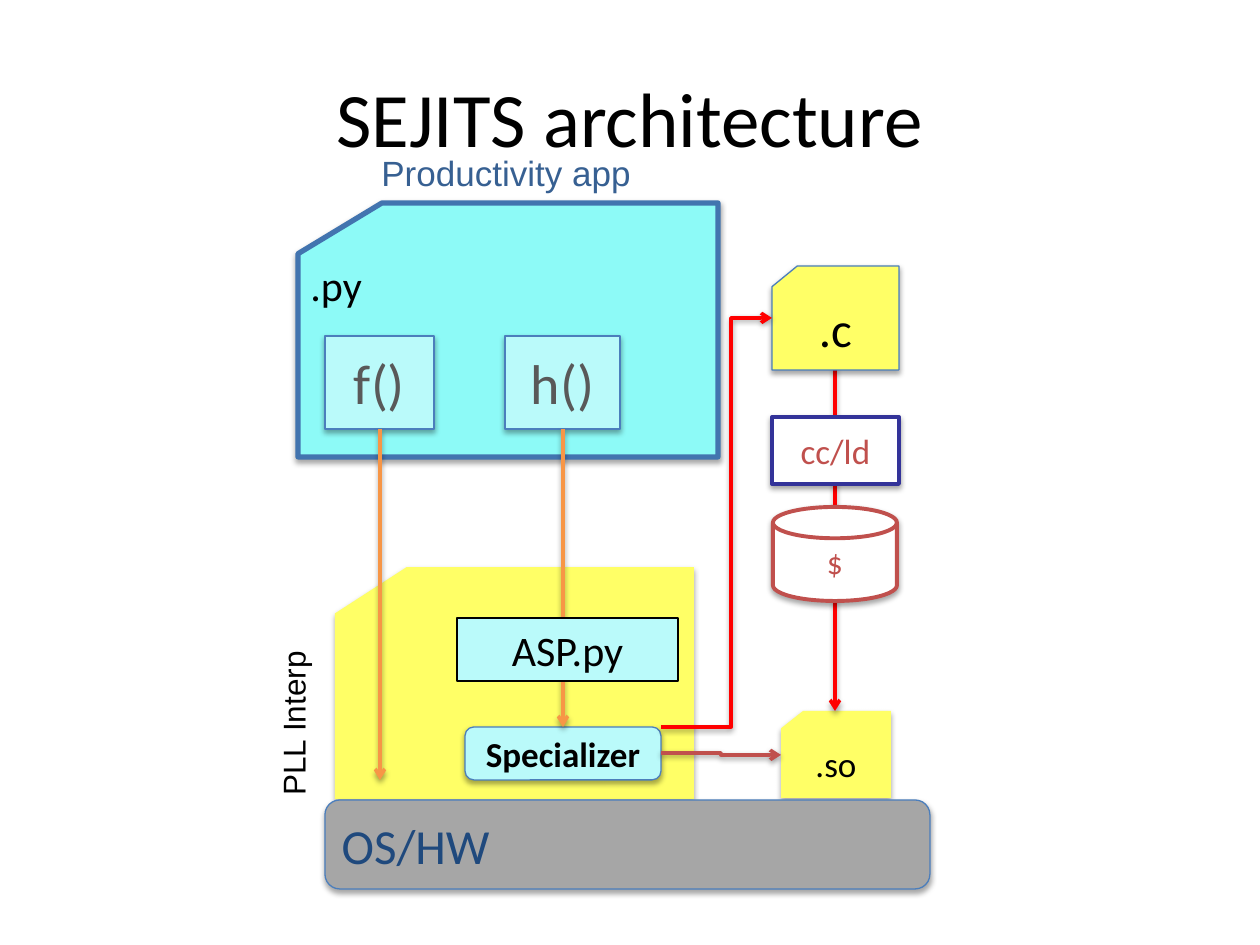
from lxml import etree
from pptx import Presentation
from pptx import util as u
from pptx.dml.color import RGBColor
from pptx.enum import shapes, text
from pptx.oxml import parse_xml
from pptx.oxml.ns import nsdecls, qn

SCALE = 914400 // 126
KIND = shapes.MSO_SHAPE
LINK = shapes.MSO_CONNECTOR
CENTER, LEFT = text.PP_ALIGN.CENTER, text.PP_ALIGN.LEFT
MIDDLE, TOP = text.MSO_ANCHOR.MIDDLE, text.MSO_ANCHOR.TOP
YELLOW, PALE, WHITE = "FFFF66", "BAFAFA", "FFFFFF"
BLUE, RED, ORANGE, BRICK = "4B7EBC", "FF0000", "F79646", "C0504D"


def px(length):
    return u.Emu(length * SCALE)


def rgb(value):
    return RGBColor.from_string(value)


def add_shadow(item, alpha, distance):
    item._element.spPr.append(parse_xml(
        f'<a:effectLst {nsdecls("a")}><a:outerShdw blurRad="40000" '
        f'dist="{distance}" dir="5400000" rotWithShape="0">'
        f'<a:srgbClr val="000000"><a:alpha val="{alpha}"/></a:srgbClr>'
        '</a:outerShdw></a:effectLst>'))


def write(box, words, size, color, align=CENTER, anchor=MIDDLE,
          font="Calibri", bold=False):
    frame = box.text_frame
    frame.word_wrap = True
    frame.vertical_anchor = anchor
    frame.text = words
    para = frame.paragraphs[0]
    para.alignment = align
    span = para.runs[0]
    span.font.name, span.font.size = font, u.Pt(size)
    span.font.bold = bold
    span.font.color.rgb = rgb(color)


def add_block(page, kind, area, fill, line=None, width=0.75, shadow=True):
    block = page.shapes.add_shape(kind, *map(px, area))
    block.fill.solid()
    block.fill.fore_color.rgb = rgb(fill)
    if line:
        block.line.color.rgb = rgb(line)
        block.line.width = u.Pt(width)
    else:
        block.line.fill.background()
    if shadow:
        add_shadow(block, 35000, 23000)
    else:
        block.shadow.inherit = False
    return block


def add_label(page, area, words, size, color, **style):
    box = page.shapes.add_textbox(*map(px, area))
    write(box, words, size, color, **style)
    return box


def add_arrow(page, start, end, color, bend=None):
    kind = LINK.STRAIGHT if bend is None else LINK.ELBOW
    arrow = page.shapes.add_connector(kind, *map(px, start + end))
    arrow.line.color.rgb = rgb(color)
    arrow.line.width = u.Pt(2)
    etree.SubElement(arrow.line._get_or_add_ln(), qn("a:tailEnd"), type="arrow")
    if bend is not None:
        guides = arrow._element.spPr.find(qn("a:prstGeom")).get_or_add_avLst()
        etree.SubElement(guides, qn("a:gd"), name="adj1", fmla=f"val {bend}")
    add_shadow(arrow, 38000, 20000)


def draw_compile_chain(page):
    block = add_block(page, KIND.FLOWCHART_CARD, (781, 711, 110, 87), YELLOW)
    write(block, ".so", 20, "000000")
    add_arrow(page, (835, 344), (835, 711), RED)
    block = add_block(page, KIND.RECTANGLE, (772, 417, 127, 67), WHITE, "333399", 2.25)
    write(block, "cc/ld", 20, BRICK)


def draw_layers(page):
    add_block(page, KIND.FLOWCHART_CARD, (335, 567, 359, 232), YELLOW)
    app = add_block(page, KIND.FLOWCHART_CARD, (298, 203, 420, 254), "8DFAF7", "4274AF", 3)
    write(app, ".py", 24, "000000", align=LEFT, anchor=TOP)
    base = add_block(page, KIND.FLOWCHART_ALTERNATE_PROCESS, (325, 800, 605, 89),
                     "A6A6A6", BLUE)
    write(base, "OS/HW", 28, "1F497D", align=LEFT)


def draw_calls(page):
    for words, left, width in (("f()", 325, 109), ("h()", 505, 115)):
        block = add_block(page, KIND.RECTANGLE, (left, 336, width, 93), PALE, BLUE)
        write(block, words, 32, "595959")
    block = add_block(page, KIND.ROUNDED_RECTANGLE, (465, 727, 196, 53), PALE, BLUE)
    write(block, "Specializer", 20, "000000", bold=True)
    for center, bottom in ((380, 780), (563, 727)):
        add_arrow(page, (center, 429), (center, bottom), ORANGE)


def draw_outputs(page):
    block = add_block(page, KIND.FLOWCHART_CARD, (772, 266, 127, 104), YELLOW, BLUE)
    write(block, ".c", 28, "000000")
    add_arrow(page, (661, 727), (772, 318), RED, bend=63100)
    add_arrow(page, (661, 753), (781, 755), BRICK, bend=50000)
    cache = add_block(page, KIND.FLOWCHART_MAGNETIC_DISK, (773, 507, 124, 94),
                      WHITE, BRICK, 2.25)
    write(cache, "$", 18, BRICK)
    block = add_block(page, KIND.RECTANGLE, (457, 618, 221, 63), PALE, "000000",
                      shadow=False)
    write(block, "ASP.py", 24, "000000", anchor=TOP)


def main():
    deck = Presentation()
    deck.slide_width, deck.slide_height = u.Inches(10), u.Inches(7.5)
    page = deck.slides.add_slide(deck.slide_layouts[6])

    # Compiler column, then the stack of layers and the calls through it
    draw_compile_chain(page)
    add_label(page, (63, 38, 1134, 157), "SEJITS architecture", 44, "000000")
    draw_layers(page)
    draw_calls(page)

    # Captions
    interp = add_label(page, (268, 577, 63, 231), "PLL Interp", 18, "000000",
                       align=LEFT, anchor=TOP, font="Arial")
    interp.text_frame._txBody.bodyPr.set("vert", "vert270")
    add_label(page, (369, 145, 365, 55), "Productivity app", 20, "376092",
              align=LEFT, anchor=TOP, font="Arial")

    # Generated code and cache
    draw_outputs(page)
    deck.save("out.pptx")


main()
